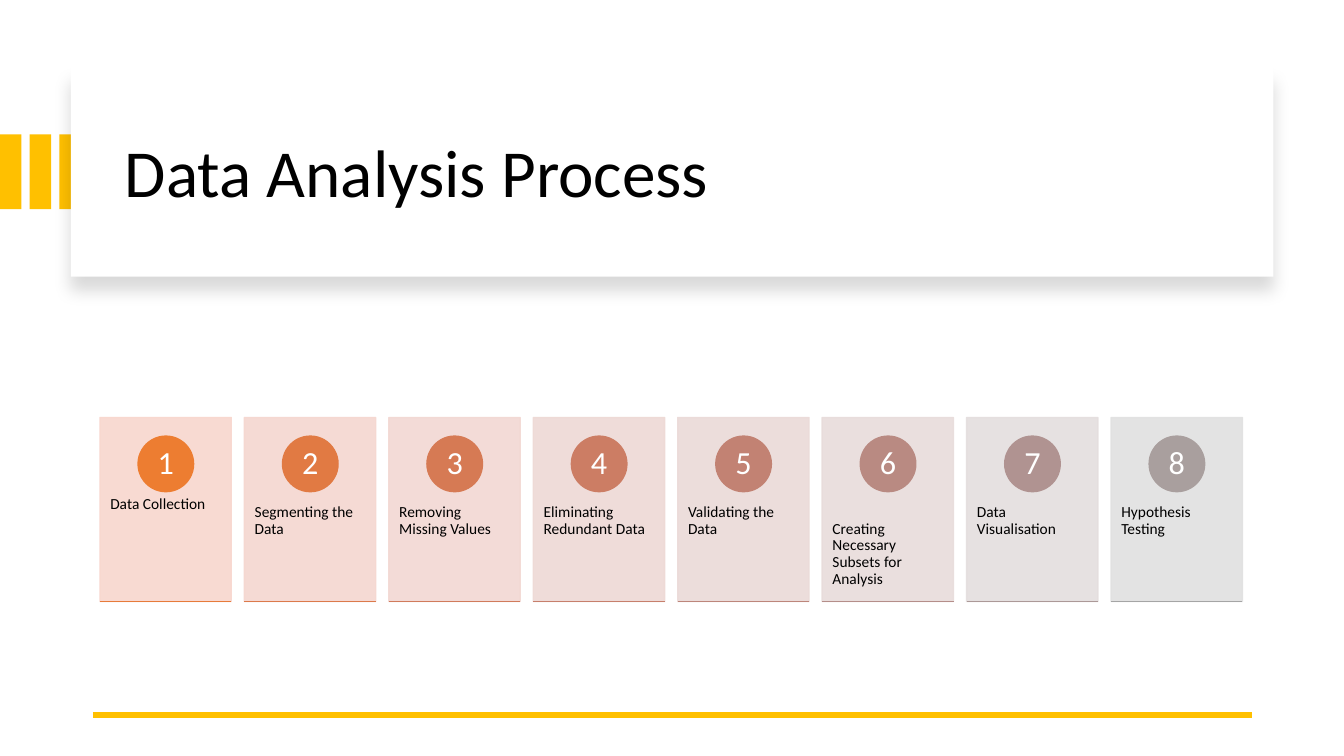
"""Builds the slide that shows the eight steps of a data analysis process."""
from lxml import etree
from pptx import Presentation
from pptx import util as u
from pptx.dml import color
from pptx.enum import shapes, text
from pptx.oxml import ns

STEPS = [
    ("Data Collection", "F8D7CE", "ED7D31", "E77B3A"),
    ("Segmenting the Data", "F5D7D0", "E17A43", "DC7A4B"),
    ("Removing Missing Values", "F2D8D3", "D67A54", "D17B5C"),
    ("Eliminating Redundant Data", "EED9D5", "CC7D64", "C77F6C"),
    ("Validating the Data", "EBDAD8", "C28273", "BD867B"),
    ("Creating Necessary Subsets for Analysis", "E8DCDB", "B98A82", "B58E8A"),
    ("Data Visualisation", "E4DEDE", "B09391", "AC9998"),
    ("Hypothesis Testing", "E1E1E1", "A99F9E", "A5A5A5"),
]


def rgb(value):
    """Turn a hex string into a colour."""
    return color.RGBColor.from_string(value)


def apply(target, formats):
    """Set each attribute named in the dict of formats."""
    for name, value in formats.items():
        setattr(target, name, value)


def add_node(parent, tag, **values):
    """Append a drawing element with the given attributes."""
    return etree.SubElement(parent, ns.qn(tag), {k: str(v) for k, v in values.items()})


class SlideBuilder:
    """Holds the style and the current slide."""

    FONT = "Calibri"
    ACCENT = "FFC000"

    def __init__(self, slide):
        """Keep the slide to draw on."""
        self.slide = slide

    def shape(self, kind, box, fill, outlined=False, opacity=None):
        """Add a filled preset shape."""
        shape = self.slide.shapes.add_shape(kind, *map(u.Cm, box))
        shape.shadow.inherit = False
        shape.fill.solid()
        shape.fill.fore_color.rgb = rgb(fill)
        if outlined:
            shape.line.color.rgb = rgb(fill)
            shape.line.width = u.Pt(1)
        else:
            shape.line.fill.background()
        if opacity:
            for node in list(shape.element.spPr.iter(ns.qn("a:srgbClr"))):
                add_node(node, "a:alpha", val=opacity * 1000)
        return shape

    def panel(self, box):
        """Add a white panel with a soft shadow below it."""
        shape = self.shape(shapes.MSO_SHAPE.RECTANGLE, box, "FFFFFF")
        effects = shape.element.spPr.find(ns.qn("a:effectLst"))
        shadow = add_node(effects, "a:outerShdw", blurRad=u.Pt(11), dist=u.Pt(10),
                          dir=90 * 60000, algn="t", rotWithShape=0)
        add_node(add_node(shadow, "a:srgbClr", val="000000"), "a:alpha", val=15000)

    def line(self, left, right, top, hue, width):
        """Add a horizontal line."""
        line = self.slide.shapes.add_connector(
            shapes.MSO_CONNECTOR.STRAIGHT, *map(u.Cm, (left, top, right, top)))
        line.line.color.rgb = rgb(hue)
        line.line.width = u.Pt(width)
        add_node(line.element.spPr, "a:effectLst")

    def text(self, box, words, size, hue="000000", insets=(0.25, 0.13),
             anchor=text.MSO_ANCHOR.MIDDLE, align=text.PP_ALIGN.LEFT):
        """Add a wrapped text box with one paragraph."""
        frame = self.slide.shapes.add_textbox(*map(u.Cm, box)).text_frame
        side, end = map(u.Cm, insets)
        apply(frame, {"word_wrap": True, "vertical_anchor": anchor,
                      "margin_left": side, "margin_right": side,
                      "margin_top": end, "margin_bottom": end})
        paragraph = frame.paragraphs[0]
        apply(paragraph, {"text": words, "alignment": align, "line_spacing": 0.9})
        font = paragraph.runs[0].font
        apply(font, {"name": self.FONT, "size": u.Pt(size)})
        font.color.rgb = rgb(hue)

    def step(self, number, left, label, card, badge, base):
        """Add one card with its label, numbered badge and base line."""
        width, top, height = 3.31, 10.52, 4.64
        self.shape(shapes.MSO_SHAPE.RECTANGLE, (left, top, width, height), card, True, 90)
        self.text((left, top + 1.77, width, 2.79), label, 11,
                  insets=(0.26, 0.91), anchor=text.MSO_ANCHOR.TOP)
        self.shape(shapes.MSO_SHAPE.OVAL, (left + 0.96, top + 0.47, 1.4, 1.4), badge, True)
        self.text((left + 1.16, top + 0.67, 1, 1), str(number), 23, "FFFFFF",
                  insets=(0.1, 0.03), align=text.PP_ALIGN.CENTER)
        self.line(left, left + width, top + height, base, 1)


def main():
    """Build and save the slide."""
    presentation = Presentation()
    apply(presentation, {"slide_width": u.Cm(33.87), "slide_height": u.Cm(19.05)})
    builder = SlideBuilder(presentation.slides.add_slide(presentation.slide_layouts[6]))
    for index in range(3):
        builder.shape(shapes.MSO_SHAPE.RECTANGLE, (index * 0.75, 3.39, 0.54, 1.88),
                      builder.ACCENT)
    builder.panel((1.79, 1.7, 30.3, 5.27))
    builder.text((2.9, 2.26, 28.27, 4.32), "Data Analysis Process", 48)
    builder.line(2.34, 31.55, 18.01, builder.ACCENT, 4.5)
    for index, step in enumerate(STEPS):
        builder.step(index + 1, 2.52 + index * 3.64, *step)
    presentation.save("out.pptx")


if __name__ == "__main__":
    main()
